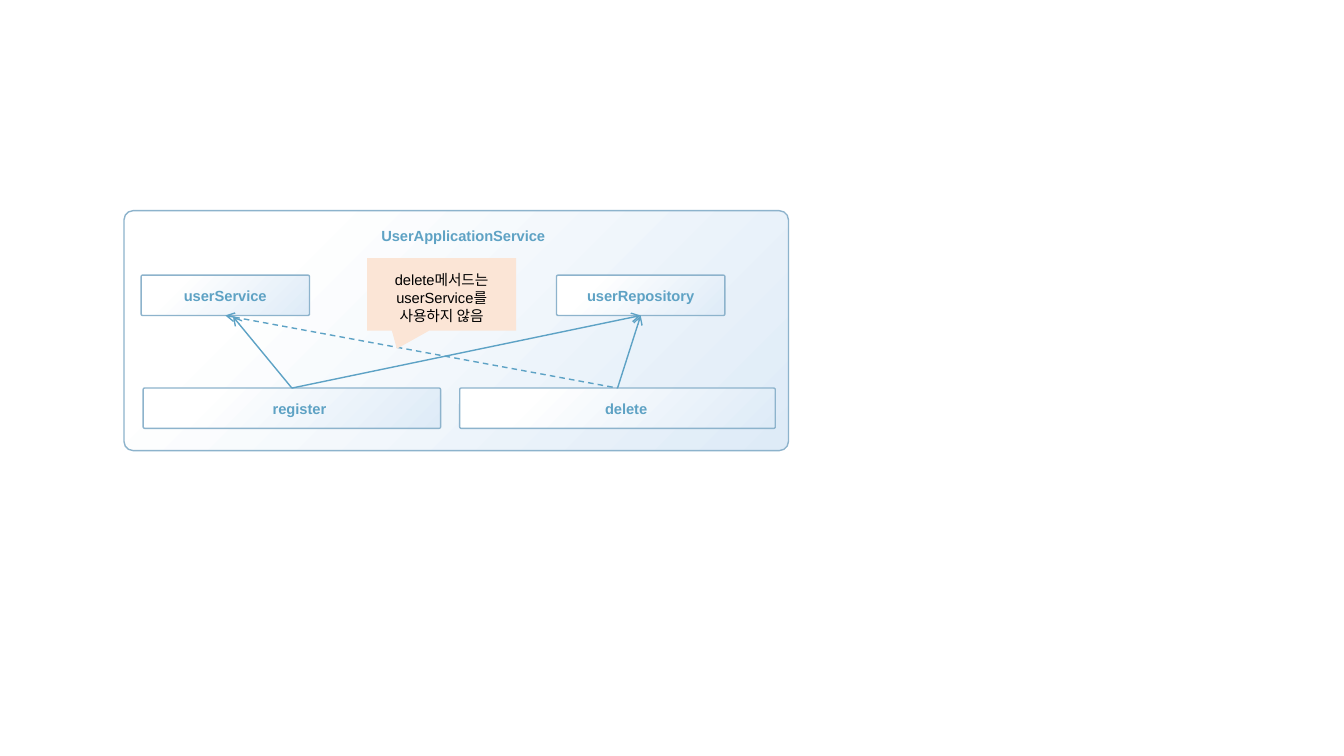
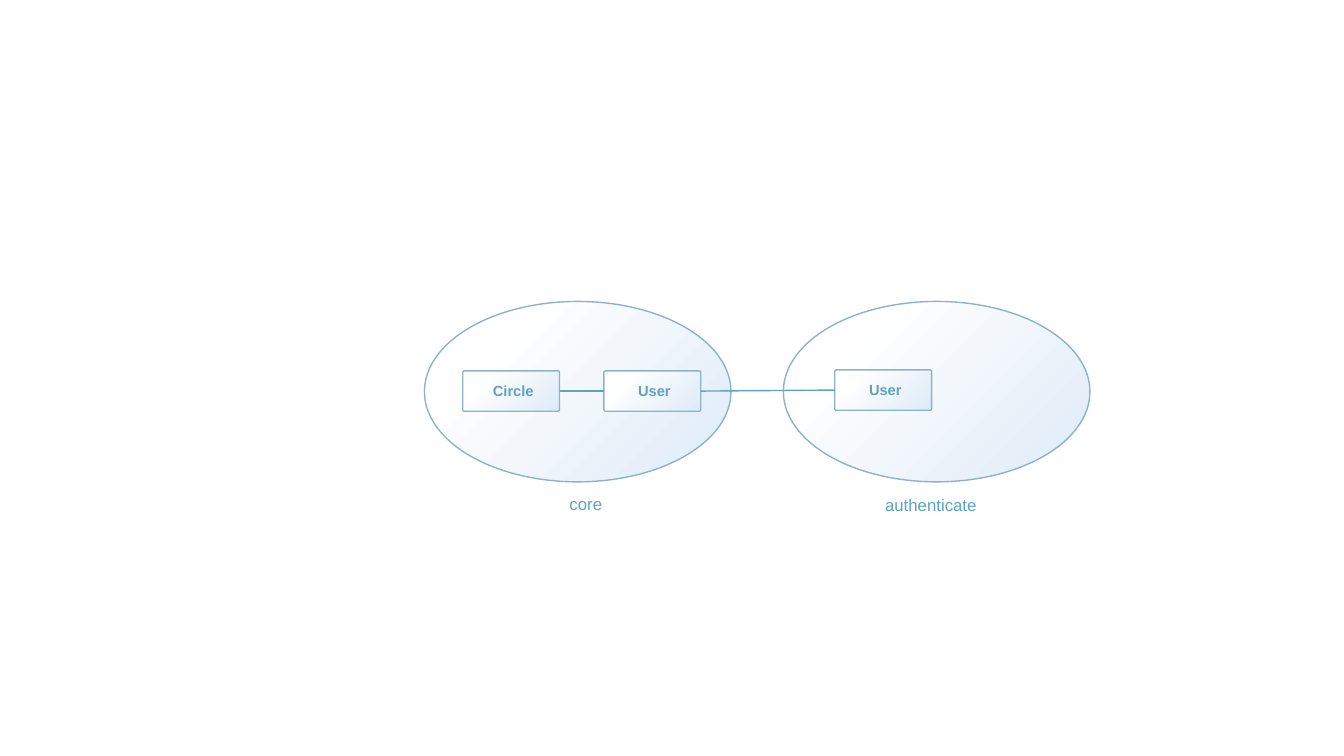
"""Builds two slides: a service class with its method dependencies, and two contexts sharing a user."""
from dataclasses import dataclass

from lxml.etree import SubElement
from pptx import Presentation
from pptx.dml.color import RGBColor
from pptx.enum.dml import MSO_LINE
from pptx.enum.shapes import MSO_CONNECTOR, MSO_SHAPE
from pptx.enum.text import MSO_ANCHOR, PP_ALIGN
from pptx.oxml.ns import qn
from pptx.util import Inches, Pt


@dataclass(frozen=True)
class Theme:
    font: str = "Arial"
    ink: RGBColor = RGBColor(0x5E, 0xA2, 0xC4)
    black: RGBColor = RGBColor(0, 0, 0)
    link: RGBColor = RGBColor(0x5D, 0xA2, 0xC5)
    border: RGBColor = RGBColor(0x8D, 0xB3, 0xCC)
    light: RGBColor = RGBColor(0xFF, 0xFF, 0xFF)
    tint: RGBColor = RGBColor(0xDE, 0xEB, 0xF7)
    note: RGBColor = RGBColor(0xFB, 0xE5, 0xD6)
    label_size: float = 10.5
    caption_size: float = 12
    line_width: float = 1
    corner: float = 0.038


theme = Theme()
deck = Presentation()
deck.slide_width, deck.slide_height = Inches(13.33), Inches(7.5)
COLUMNS, ROWS = 133.3, 75
TOP, LEFT, BOTTOM, RIGHT = range(4)


def place(*cells):
    """Turn columns and rows of the slide grid into lengths."""
    steps = (deck.slide_width / COLUMNS, deck.slide_height / ROWS)
    return [round(cell * steps[index % 2]) for index, cell in enumerate(cells)]


def write(box, text, size=theme.label_size, color=theme.ink, bold=True, align=PP_ALIGN.CENTER,
          anchor=MSO_ANCHOR.MIDDLE, wrap=True, left=1, top=0.5, right=1):
    """Write one paragraph into a box, with insets in grid cells."""
    frame = box.text_frame
    frame.word_wrap = wrap
    frame.vertical_anchor = anchor
    frame.margin_left, frame.margin_top, frame.margin_right = place(left, top)[0], place(left, top)[1], place(right)[0]
    para = frame.paragraphs[0]
    para.alignment = align
    span = para.add_run()
    span.text = text
    span.font.name, span.font.size, span.font.bold = theme.font, Pt(size), bold
    span.font.color.rgb = color


service_page, context_page = [deck.slides.add_slide(deck.slide_layouts[6]) for _ in range(2)]

title_format = {"anchor": MSO_ANCHOR.TOP, "left": 2.4, "top": 1.3}
panels = [
    ("service", service_page, MSO_SHAPE.ROUNDED_RECTANGLE, (12.3, 20.9, 65.9, 23.8), "UserApplicationService", title_format),
    ("core", context_page, MSO_SHAPE.OVAL, (42.1, 29.9, 30.4, 17.9), "", {}),
    ("authenticate", context_page, MSO_SHAPE.OVAL, (77.7, 29.9, 30.4, 17.9), "", {}),
]
members = [
    ("userService", service_page, 14, 27.3, 16.7, "userService", 1),
    ("userRepository", service_page, 55.2, 27.3, 16.7, "userRepository", 1),
    ("register", service_page, 14.2, 38.5, 29.5, "register", 2.5),
    ("delete", service_page, 45.6, 38.5, 31.3, "delete", 2.7),
    ("circle", context_page, 45.9, 36.8, 9.6, "Circle", 1.4),
    ("core user", context_page, 59.9, 36.8, 9.6, "User", 1.4),
    ("login user", context_page, 82.8, 36.7, 9.6, "User", 1.4),
]
panels += [
    (key, page, MSO_SHAPE.ROUNDED_RECTANGLE, (column, row, width, 4), text, {"left": inset})
    for key, page, column, row, width, text, inset in members
]

boxes = {}
for key, page, outline, cells, text, text_format in panels:
    box = boxes[key] = page.shapes.add_shape(outline, *place(*cells))
    box.shadow.inherit = False
    if outline == MSO_SHAPE.ROUNDED_RECTANGLE:
        box.adjustments[0] = theme.corner
    box.fill.gradient()
    box.fill.gradient_angle = 315
    for stop, position, color in zip(box.fill.gradient_stops, (0.21, 1), (theme.light, theme.tint)):
        stop.position, stop.color.rgb = position, color
    box.line.color.rgb, box.line.width = theme.border, Pt(theme.line_width)
    if text:
        write(box, text, **text_format)

for text, cells in (("core", (55.5, 48.5, 5.7, 3)), ("authenticate", (86.8, 48.6, 12.2, 3))):
    caption = context_page.shapes.add_textbox(*place(*cells))
    write(caption, text, size=theme.caption_size, bold=False, align=PP_ALIGN.LEFT,
          anchor=MSO_ANCHOR.TOP, wrap=False)

links = [
    (service_page, (23.1, 31.4), "register", BOTTOM, TOP, True, None),
    (service_page, "userRepository", "register", BOTTOM, TOP, True, None),
    (service_page, "userRepository", "delete", BOTTOM, TOP, True, None),
    (service_page, "userService", "delete", BOTTOM, TOP, True, MSO_LINE.DASH),
    (context_page, "core user", "login user", RIGHT, LEFT, False, None),
    (context_page, "circle", "core user", RIGHT, LEFT, False, None),
]
for page, start, end, start_side, end_side, arrow, dash in links:
    origin = place(*start) if isinstance(start, tuple) else (0, 0)
    link = page.shapes.add_connector(MSO_CONNECTOR.STRAIGHT, *origin, *origin)
    if start in boxes:
        link.begin_connect(boxes[start], start_side)
    link.end_connect(boxes[end], end_side)
    link.line.color.rgb, link.line.width = theme.link, Pt(theme.line_width)
    if dash:
        link.line.dash_style = dash
    if arrow:
        SubElement(link.line._get_or_add_ln(), qn("a:headEnd"), type="arrow")
    SubElement(link._element.spPr, qn("a:effectLst"))

note = service_page.shapes.add_shape(MSO_SHAPE.RECTANGULAR_CALLOUT, *place(36.4, 25.6, 14.8, 7.2))
note.shadow.inherit = False
note.adjustments[0], note.adjustments[1] = -0.3, 0.75
note.fill.solid()
note.fill.fore_color.rgb = theme.note
note.line.fill.background()
write(note, "delete메서드는 userService를 사용하지 않음", color=theme.black, bold=False,
      anchor=MSO_ANCHOR.TOP, left=2.2, top=1.3, right=2.2)

deck.save("out.pptx")
